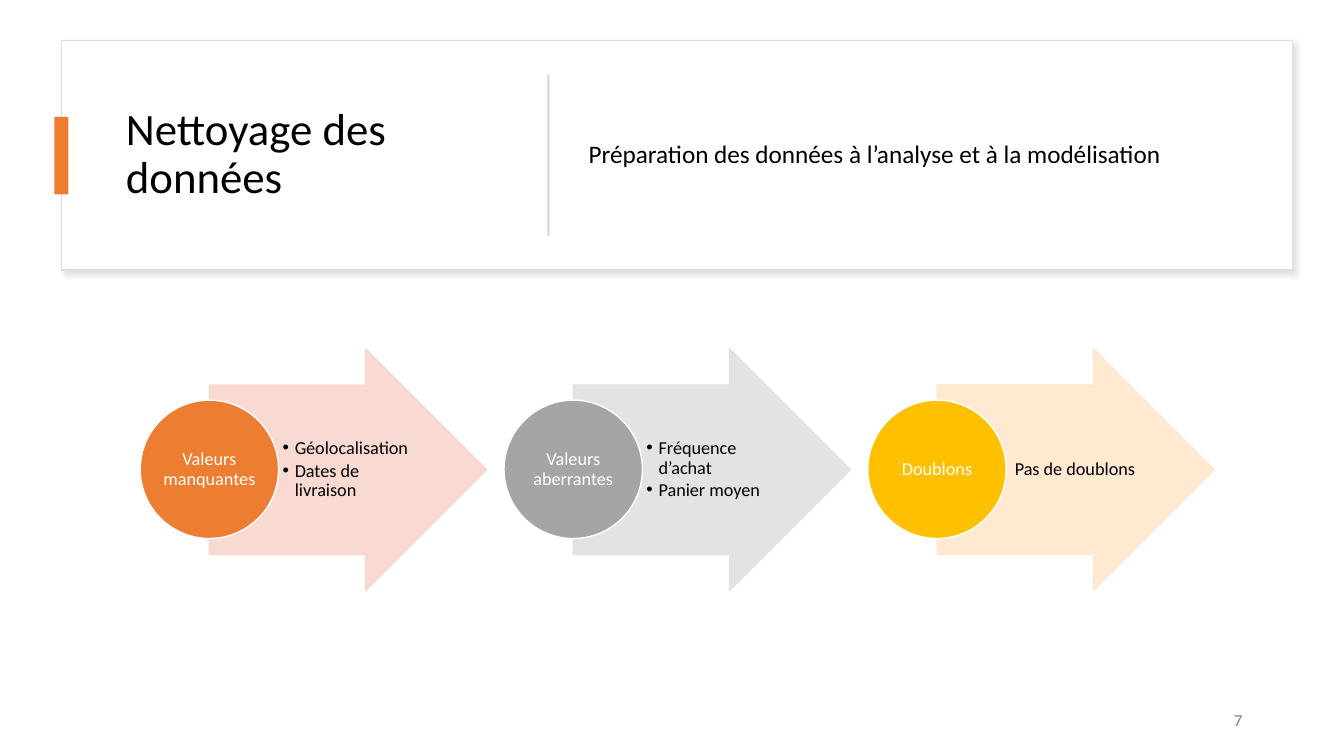
from lxml.etree import SubElement
from pptx import Presentation
from pptx.dml.color import RGBColor
from pptx.enum.shapes import MSO_SHAPE
from pptx.enum.text import MSO_ANCHOR, PP_ALIGN
from pptx.oxml.ns import qn
from pptx.util import Inches, Pt

COLORS = {
    "white": "FFFFFF", "black": "000000", "border": "DEDEDE", "shadow": "C5C3C3",
    "divider": "D5D5D5", "number": "808080",
    "orange": "ED7D31", "gray": "A5A5A5", "gold": "FFC000",
    "pale orange": "F8D7CE", "pale gray": "E1E1E1", "pale gold": "FFE8CC",
}


class SlideBuilder:
    """Holds the style and the slide; boxes are in percent of slide width and height."""

    font = "Calibri"
    line_spacing = 0.9

    def __init__(self, presentation):
        self.column = presentation.slide_width / 100
        self.row = presentation.slide_height / 100
        self.slide = presentation.slides.add_slide(presentation.slide_layouts[6])

    def place(self, box):
        left, top, width, height = box
        return (round(left * self.column), round(top * self.row),
                round(width * self.column), round(height * self.row))

    def color(self, name):
        return RGBColor.from_string(COLORS[name])

    def shape(self, kind, box, fill, line=None, opacity=100):
        shape = self.slide.shapes.add_shape(kind, *self.place(box))
        shape.shadow.inherit = False
        shape.fill.solid()
        shape.fill.fore_color.rgb = self.color(fill)
        if line:
            shape.line.color.rgb = self.color(line)
            shape.line.width = Pt(1)
        else:
            shape.line.fill.background()
        if opacity < 100:
            for color in shape._element.spPr.iter(qn("a:srgbClr")):
                SubElement(color, qn("a:alpha"), val=str(opacity * 1000))
        return shape

    def shadow(self, shape, name):
        effects = shape._element.spPr.find(qn("a:effectLst"))
        outer = SubElement(effects, qn("a:outerShdw"), blurRad=str(Pt(4)), dist=str(Pt(3)),
                           dir=str(45 * 60000), algn="tl", rotWithShape="0")
        color = SubElement(outer, qn("a:srgbClr"), val=COLORS[name])
        SubElement(color, qn("a:alpha"), val="50000")

    def fill_text(self, shape, lines, size, color="black", align=PP_ALIGN.LEFT,
                  insets=(0.1, 0.05, 0.1, 0.05), after=0, bullets=False):
        frame = shape.text_frame
        frame.text = "\n".join(lines)
        frame.word_wrap = True
        frame.vertical_anchor = MSO_ANCHOR.MIDDLE
        (frame.margin_left, frame.margin_top,
         frame.margin_right, frame.margin_bottom) = map(Inches, insets)
        for paragraph in frame.paragraphs:
            paragraph.alignment = align
            paragraph.line_spacing = self.line_spacing
            paragraph.space_after = Pt(after)
            if bullets:
                self.bullet(paragraph)
            for run in paragraph.runs:
                run.font.name = self.font
                run.font.size = Pt(size)
                run.font.color.rgb = self.color(color)

    def bullet(self, paragraph):
        properties = paragraph._p.get_or_add_pPr()
        properties.set("marL", str(Inches(0.12)))
        properties.set("indent", str(Inches(-0.12)))
        SubElement(properties, qn("a:buFont"), typeface="Arial")
        SubElement(properties, qn("a:buChar"), char="•")

    def text(self, box, lines, size, **style):
        self.fill_text(self.slide.shapes.add_textbox(*self.place(box)), lines, size, **style)

    def step(self, left, label, details, color, pale):
        arrow = self.shape(MSO_SHAPE.RIGHT_ARROW, (left + 5.15, 46.13, 20.63, 32),
                           pale, pale, opacity=90)
        arrow.adjustments[0] = 0.7
        arrow.adjustments[1] = 0.5
        listed = len(details) > 1
        self.text((left + 10.3, 50.93, 10.05, 22.4), details, 13,
                  align=PP_ALIGN.LEFT if listed else PP_ALIGN.CENTER,
                  insets=(0.04, 0.01, 0.02, 0.01), after=2 if listed else 4.5,
                  bullets=listed)
        circle = self.shape(MSO_SHAPE.OVAL, (left, 52.93, 10.3, 18.31), color, "white")
        self.fill_text(circle, [label], 13, color="white", align=PP_ALIGN.CENTER,
                       insets=(0.01,) * 4, after=4.5)


STEPS = [
    ("Valeurs manquantes", ["Géolocalisation", "Dates de livraison"], "orange", "pale orange"),
    ("Valeurs aberrantes", ["Fréquence d’achat", "Panier moyen"], "gray", "pale gray"),
    ("Doublons", ["Pas de doublons"], "gold", "pale gold"),
]


def main():
    presentation = Presentation()
    presentation.slide_width = Inches(13.33)
    presentation.slide_height = Inches(7.5)
    builder = SlideBuilder(presentation)

    # Header card
    card = builder.shape(MSO_SHAPE.RECTANGLE, (4.58, 5.33, 91.6, 30.4), "white", "border")
    builder.shadow(card, "shadow")
    builder.text((8.63, 8.53, 30, 24), ["Nettoyage des données"], 32)
    builder.shape(MSO_SHAPE.RECTANGLE, (4.05, 15.47, 1.05, 10.27), "orange")
    builder.shape(MSO_SHAPE.RECTANGLE, (40.73, 9.87, 0.15, 21.33), "divider")
    builder.text((43.06, 8.53, 50.11, 24),
                 ["Préparation des données à l’analyse et à la modélisation"], 18)

    # Slide number
    builder.text((70.67, 92.67, 22.5, 5.33), ["7"], 12, color="number",
                 align=PP_ALIGN.RIGHT, after=6)

    # Cleaning steps
    for index, step in enumerate(STEPS):
        builder.step(10.43 + 27.07 * index, *step)

    presentation.save("out.pptx")


if __name__ == "__main__":
    main()
